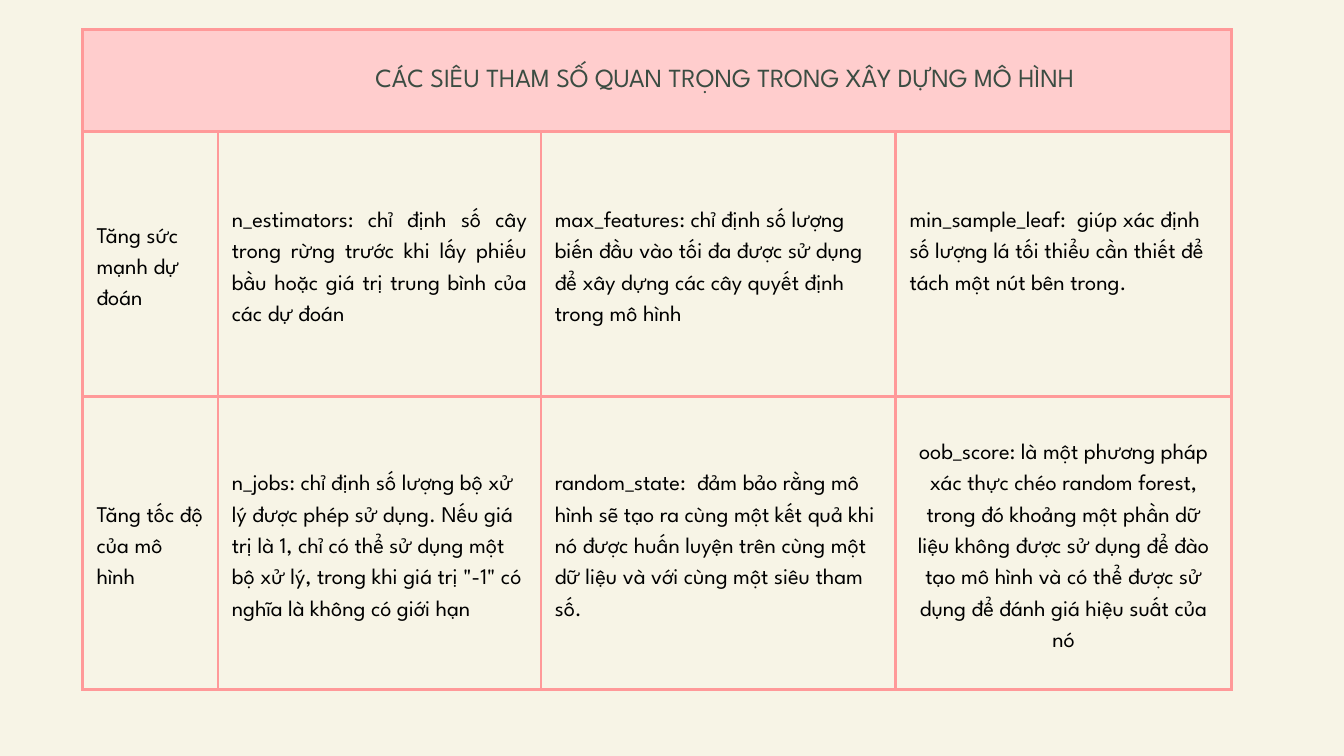
from dataclasses import dataclass

from lxml.etree import SubElement
from pptx import Presentation
from pptx.dml.color import RGBColor
from pptx.enum.text import MSO_ANCHOR, MSO_AUTO_SIZE, PP_ALIGN
from pptx.oxml.ns import qn
from pptx.util import Pt


@dataclass(frozen=True)
class Theme:
    font: str = "League Spartan"
    background: str = "F7F4E6"
    header: str = "FFCDCD"
    border: str = "FF9999"
    title: str = "3B4C42"
    body: str = "000000"
    title_size: float = 28
    body_size: float = 24
    leading: float = 1.4
    border_width: float = 3
    cell_margin: float = 15


THEME = Theme()
TITLE = "CÁC SIÊU THAM SỐ QUAN TRỌNG TRONG XÂY DỰNG MÔ HÌNH"
COLUMN_WIDTHS = (145, 346, 380, 360)
ROW_HEIGHTS = (109, 284, 314)
PARAMETERS = (
    (
        "Tăng sức mạnh dự đoán",
        "n_estimators: chỉ định số cây trong rừng trước khi lấy phiếu bầu "
        "hoặc giá trị trung bình của các dự đoán",
        "max_features: chỉ định số lượng biến đầu vào tối đa được sử dụng "
        "để xây dựng các cây quyết định trong mô hình",
        "min_sample_leaf:  giúp xác định số lượng lá tối thiểu cần thiết "
        "để tách một nút bên trong.",
    ),
    (
        "Tăng tốc độ của mô hình",
        "n_jobs: chỉ định số lượng bộ xử lý được phép sử dụng. Nếu giá trị "
        'là 1, chỉ có thể sử dụng một bộ xử lý, trong khi giá trị "-1" có '
        "nghĩa là không có giới hạn",
        "random_state:  đảm bảo rằng mô hình sẽ tạo ra cùng một kết quả khi "
        "nó được huấn luyện trên cùng một dữ liệu và với cùng một siêu tham số.",
        "oob_score: là một phương pháp xác thực chéo random forest, trong đó "
        "khoảng một phần dữ liệu không được sử dụng để đào tạo mô hình và có "
        "thể được sử dụng để đánh giá hiệu suất của nó",
    ),
)
ALIGNMENTS = {(1, 1): PP_ALIGN.JUSTIFY, (2, 3): PP_ALIGN.CENTER}


def write_text(frame, text, *, size, color, align=PP_ALIGN.LEFT):
    para = frame.paragraphs[0]
    para.alignment = align
    para.line_spacing = Pt(size * THEME.leading)
    para.space_before = Pt(0)
    span = para.add_run()
    span.text = text
    span.font.name = THEME.font
    span.font.size = Pt(size)
    span.font.bold = False
    span.font.color.rgb = RGBColor.from_string(color)


def set_borders(cell):
    properties = cell._tc.get_or_add_tcPr()
    for side in ("a:lnL", "a:lnR", "a:lnT", "a:lnB"):
        line = SubElement(properties, qn(side), w=str(Pt(THEME.border_width)))
        fill = SubElement(line, qn("a:solidFill"))
        SubElement(fill, qn("a:srgbClr"), val=THEME.border)


def set_margins(cell):
    cell.margin_left = cell.margin_right = Pt(THEME.cell_margin)
    cell.margin_top = cell.margin_bottom = Pt(THEME.cell_margin)
    cell.vertical_anchor = MSO_ANCHOR.MIDDLE


def add_parameter_table(page):
    table = page.shapes.add_table(
        len(ROW_HEIGHTS), len(COLUMN_WIDTHS), Pt(88.5), Pt(31.7),
        Pt(sum(COLUMN_WIDTHS)), Pt(sum(ROW_HEIGHTS)),
    ).table
    table.first_row = table.horz_banding = False
    for column, width in zip(table.columns, COLUMN_WIDTHS):
        column.width = Pt(width)
    for row, height in zip(table.rows, ROW_HEIGHTS):
        row.height = Pt(height)

    for cell in table.iter_cells():
        set_borders(cell)
        set_margins(cell)
        cell.fill.background()
    for cell in table.rows[0].cells:
        cell.fill.solid()
        cell.fill.fore_color.rgb = RGBColor.from_string(THEME.header)
    table.cell(0, 0).merge(table.cell(0, len(COLUMN_WIDTHS) - 1))

    for row, texts in enumerate(PARAMETERS, start=1):
        for column, text in enumerate(texts):
            write_text(
                table.cell(row, column).text_frame, text,
                size=THEME.body_size, color=THEME.body,
                align=ALIGNMENTS.get((row, column), PP_ALIGN.LEFT),
            )
    # The shorter leaf text starts level with its neighbours.
    table.cell(1, 3).margin_bottom = Pt(
        THEME.cell_margin + THEME.body_size * THEME.leading
    )


def place_title(page):
    """Fill the title and bring it in front of the table header."""
    title = page.shapes.title
    title.left, title.top = Pt(306), Pt(59.8)
    title.width, title.height = Pt(941), Pt(38.2)
    frame = title.text_frame
    frame.margin_left = frame.margin_right = Pt(0)
    frame.margin_top = frame.margin_bottom = Pt(0)
    frame.vertical_anchor = MSO_ANCHOR.TOP
    frame.word_wrap = True
    frame.auto_size = MSO_AUTO_SIZE.NONE
    write_text(frame, TITLE, size=THEME.title_size, color=THEME.title,
               align=PP_ALIGN.CENTER)
    title.element.getparent().append(title.element)


def main():
    deck = Presentation()
    deck.slide_width, deck.slide_height = Pt(1440), Pt(810)
    page = deck.slides.add_slide(deck.slide_layouts.get_by_name("Title Only"))
    page.background.fill.solid()
    page.background.fill.fore_color.rgb = RGBColor.from_string(THEME.background)
    add_parameter_table(page)
    place_title(page)
    deck.save("out.pptx")


if __name__ == "__main__":
    main()
